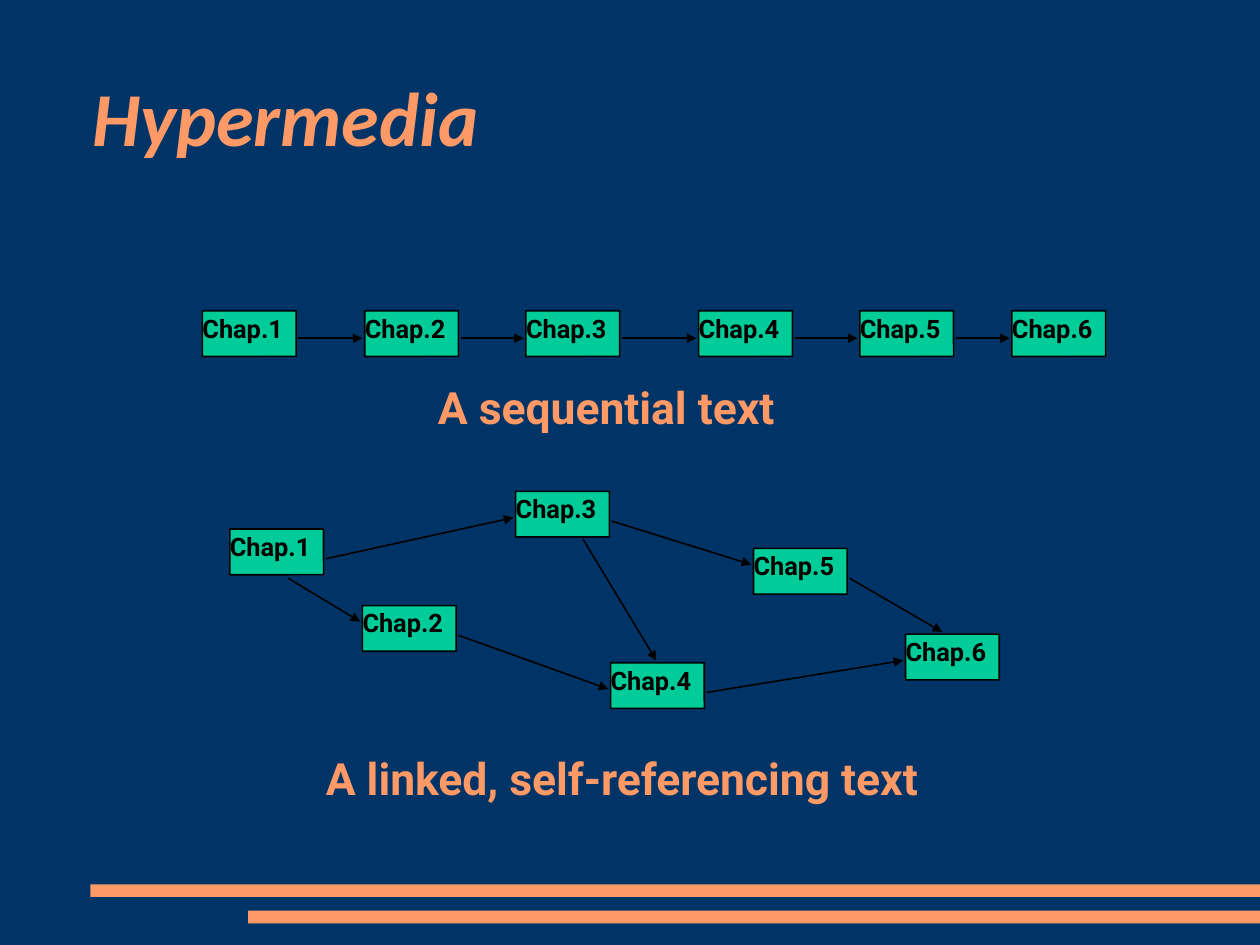
from dataclasses import dataclass
from itertools import pairwise
from typing import Any, NamedTuple

from lxml import etree
from pptx import Presentation
from pptx.dml.color import RGBColor
from pptx.enum.shapes import MSO_CONNECTOR, MSO_SHAPE
from pptx.enum.text import MSO_ANCHOR, PP_ALIGN
from pptx.oxml.ns import qn
from pptx.util import Cm, Emu, Pt

STRAIGHT = MSO_CONNECTOR.STRAIGHT
ROUNDED = MSO_SHAPE.ROUNDED_RECTANGLE
TOP, MIDDLE = MSO_ANCHOR.TOP, MSO_ANCHOR.MIDDLE
LEFT = PP_ALIGN.LEFT
TITLE_ONLY = 5
COLUMNS, ROWS = 1102, 827
SLIDE_WIDTH, SLIDE_HEIGHT = Cm(28), Cm(21)


@dataclass(frozen=True)
class Theme:
    background: RGBColor = RGBColor(0x00, 0x33, 0x66)
    accent: RGBColor = RGBColor(0xFF, 0x99, 0x66)
    box: RGBColor = RGBColor(0x00, 0xCC, 0x99)
    ink: RGBColor = RGBColor(0x00, 0x00, 0x00)
    title_font: str = "Calibri"
    body_font: str = "Roboto"
    title_size: Pt = Pt(48)
    caption_size: Pt = Pt(28)
    label_size: Pt = Pt(16)
    line_width: Pt = Pt(1)


class Point(NamedTuple):
    column: int
    row: int

    def shifted(self, offset: "Point") -> "Point":
        return Point(self.column + offset.column, self.row + offset.row)


class Area(NamedTuple):
    column: int
    row: int
    columns: int
    rows: int


class Inset(NamedTuple):
    columns: int
    rows: int


@dataclass(frozen=True)
class TextStyle:
    font: dict[str, Any]
    color: RGBColor
    spacing: float
    inset: Inset
    anchor: Any = TOP


class Caption(NamedTuple):
    text: str
    area: Area


class Link(NamedTuple):
    source: int
    leaving: Point
    target: int
    entering: Point


THEME = Theme()
TITLE_STYLE = TextStyle(
    {"name": THEME.title_font, "size": THEME.title_size, "bold": True, "italic": True},
    THEME.accent, 1.05, Inset(0, 0), MIDDLE)
CAPTION_STYLE = TextStyle(
    {"name": THEME.body_font, "size": THEME.caption_size, "bold": True},
    THEME.accent, 0.98, Inset(10, 5))
LABEL_STYLE = TextStyle(
    {"name": THEME.body_font, "size": THEME.label_size, "bold": True},
    THEME.ink, 0.98, Inset(0, 3))

TITLE = Caption("Hypermedia", Area(81, 31, 941, 138))
CAPTIONS = (
    Caption("A sequential text", Area(373, 330, 342, 102)),
    Caption("A linked, self-referencing text", Area(275, 655, 675, 56)),
)
FOOTER_BARS = (Area(79, 774, 1023, 11), Area(217, 797, 885, 11))

BOX_COLUMNS, BOX_ROWS = 82, 40
SEQUENCE = [Point(column, 272) for column in (177, 319, 460, 611, 752, 885)]
NETWORK = [Point(201, 463), Point(317, 530), Point(451, 430),
           Point(534, 580), Point(659, 480), Point(792, 555)]

CENTRE_RIGHT, CENTRE_LEFT = Point(84, 24), Point(-2, 24)
SIDE_RIGHT, SIDE_LEFT, UPPER_LEFT = Point(84, 26), Point(-2, 23), Point(-2, 14)
BELOW, BELOW_RIGHT = Point(51, 43), Point(59, 42)
ABOVE, ABOVE_LEFT = Point(40, -2), Point(32, -2)
NETWORK_LINKS = (
    Link(1, SIDE_RIGHT, 3, SIDE_LEFT),
    Link(1, BELOW, 2, UPPER_LEFT),
    Link(3, SIDE_RIGHT, 5, UPPER_LEFT),
    Link(2, SIDE_RIGHT, 4, SIDE_LEFT),
    Link(3, BELOW_RIGHT, 4, ABOVE),
    Link(5, SIDE_RIGHT, 6, ABOVE_LEFT),
    Link(4, SIDE_RIGHT, 6, SIDE_LEFT),
)
SEQUENCE_LINKS = [Link(source, CENTRE_RIGHT, target, CENTRE_LEFT)
                  for source, target in pairwise(range(1, len(SEQUENCE) + 1))]


def across(columns: int) -> Emu:
    return Emu(round(SLIDE_WIDTH * columns / COLUMNS))


def down(rows: int) -> Emu:
    return Emu(round(SLIDE_HEIGHT * rows / ROWS))


def placed(area: Area) -> tuple[Emu, Emu, Emu, Emu]:
    return across(area.column), down(area.row), across(area.columns), down(area.rows)


def apply_format(target: Any, values: dict[str, Any]) -> None:
    for name, value in values.items():
        setattr(target, name, value)


def write_text(shape: Any, text: str, style: TextStyle) -> None:
    horizontal, vertical = across(style.inset.columns), down(style.inset.rows)
    frame = shape.text_frame
    apply_format(frame, {
        "word_wrap": True, "vertical_anchor": style.anchor,
        "margin_left": horizontal, "margin_right": horizontal,
        "margin_top": vertical, "margin_bottom": vertical})
    paragraph = frame.paragraphs[0]
    apply_format(paragraph, {"alignment": LEFT, "line_spacing": style.spacing})
    run = paragraph.add_run()
    run.text = text
    apply_format(run.font, style.font)
    run.font.color.rgb = style.color


def add_title(slide: Any, title: Caption) -> None:
    shape = slide.shapes.title
    shape.left, shape.top, shape.width, shape.height = placed(title.area)
    write_text(shape, title.text, TITLE_STYLE)


def add_caption(slide: Any, caption: Caption) -> None:
    write_text(slide.shapes.add_textbox(*placed(caption.area)), caption.text, CAPTION_STYLE)


def add_block(slide: Any, area: Area, color: RGBColor) -> Any:
    shape = slide.shapes.add_shape(ROUNDED, *placed(area))
    shape.adjustments[0] = 0.01
    shape.shadow.inherit = False
    shape.fill.solid()
    shape.fill.fore_color.rgb = color
    shape.line.fill.background()
    return shape


def outline(line: Any) -> None:
    line.color.rgb = THEME.ink
    line.width = THEME.line_width


def add_chapter(slide: Any, number: int, corner: Point) -> None:
    shape = add_block(slide, Area(*corner, BOX_COLUMNS, BOX_ROWS), THEME.box)
    outline(shape.line)
    write_text(shape, f"Chap.{number}", LABEL_STYLE)


def add_arrow(slide: Any, start: Point, end: Point) -> None:
    connector = slide.shapes.add_connector(
        STRAIGHT, across(start.column), down(start.row), across(end.column), down(end.row))
    outline(connector.line)
    properties = connector._element.spPr
    etree.SubElement(properties.find(qn("a:ln")), qn("a:tailEnd"), type="triangle")
    etree.SubElement(properties, qn("a:effectLst"))


def add_diagram(slide: Any, corners: list[Point], links: Any) -> None:
    for number, corner in enumerate(corners, start=1):
        add_chapter(slide, number, corner)
    for link in links:
        add_arrow(slide, corners[link.source - 1].shifted(link.leaving),
                  corners[link.target - 1].shifted(link.entering))


def main() -> None:
    presentation = Presentation()
    apply_format(presentation, {"slide_width": SLIDE_WIDTH, "slide_height": SLIDE_HEIGHT})
    slide = presentation.slides.add_slide(presentation.slide_layouts[TITLE_ONLY])
    slide.background.fill.solid()
    slide.background.fill.fore_color.rgb = THEME.background
    for bar in FOOTER_BARS:
        add_block(slide, bar, THEME.accent)
    add_title(slide, TITLE)
    add_diagram(slide, SEQUENCE, SEQUENCE_LINKS)
    add_diagram(slide, NETWORK, NETWORK_LINKS)
    for caption in CAPTIONS:
        add_caption(slide, caption)
    presentation.save("out.pptx")


if __name__ == "__main__":
    main()
